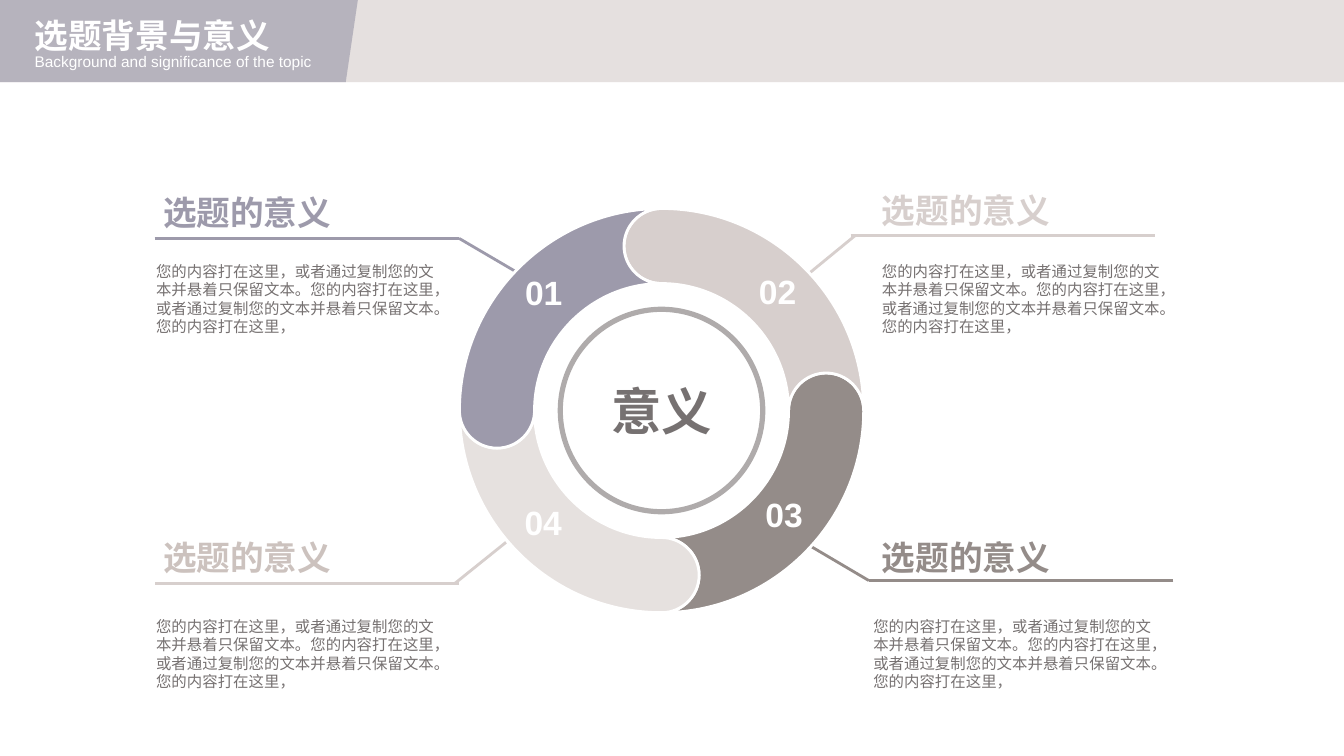
"""Build the topic background slide: a four-part ring with callouts."""
from dataclasses import dataclass
from math import cos, pi, sin

from lxml.etree import SubElement
from pptx import Presentation
from pptx.dml.color import RGBColor
from pptx.enum.shapes import MSO_CONNECTOR as CONN, MSO_SHAPE as SHAPE
from pptx.enum.text import MSO_ANCHOR as ANCHOR, MSO_AUTO_SIZE as AUTO, PP_ALIGN as ALIGN
from pptx.oxml.ns import qn
from pptx.util import Inches, Pt

COLORS = {
    "mauve": "9D9AAB", "rose": "D7CFCD", "taupe": "948C89", "pale": "E6E1DF",
    "sand": "CCC2BE", "text": "767171", "ring": "AFABAB", "white": "FFFFFF",
}
CELL = Inches(0.1)
COLS, ROWS = 133.33, 75
HEADER_ROWS = 8.15
CX, CY = 65.63, 40.73
OUTER, INNER = 20.05, 12.6
MID, CAP = (OUTER + INNER) / 2, (OUTER - INNER) / 2
BEND = 0.55
BODY = ("您的内容打在这里，或者通过复制您的文本并悬着只保留文本。"
        "您的内容打在这里，或者通过复制您的文本并悬着只保留文本。您的内容打在这里，")

Point = tuple[float, float]
Box = tuple[float, float, float, float]


@dataclass(frozen=True)
class Part:
    number: str
    turn: int
    fill: str
    line: str
    heading: str
    number_at: Point
    heading_at: Point
    body_at: Point
    rule: tuple[Point, Point]
    leader: tuple[Point, Point]


PARTS = [
    Part("03", 1, "taupe", "taupe", "taupe", (74.95, 48.5), (86.5, 52.8), (85.65, 60.7),
         ((116.4, 57.6), (86.2, 57.6)), ((86.2, 57.6), (80.1, 54))),
    Part("04", 2, "pale", "rose", "sand", (51.05, 49.3), (15.2, 52.8), (14.5, 60.7),
         ((45.5, 57.9), (15.35, 57.9)), ((45.1, 57.9), (50.2, 53.8))),
    Part("02", 0, "rose", "rose", "rose", (74.3, 26.4), (86.5, 18.35), (86.5, 25.5),
         ((84.4, 23.4), (114.6, 23.4)), ((84.8, 23.4), (79.8, 27.5))),
    Part("01", 3, "mauve", "mauve", "mauve", (51.1, 26.5), (15.2, 18.55), (14.5, 25.5),
         ((15.35, 23.65), (45.55, 23.65)), ((45.55, 23.65), (51.6, 27.2))),
]


def grid(*cells: float) -> list[int]:
    return [round(c * CELL) for c in cells]


def rgb(name: str) -> RGBColor:
    return RGBColor.from_string(COLORS[name])


def paint(sp, fill: str, line: str = "", alpha: int = 100) -> None:
    sp.shadow.inherit = False
    sp.fill.solid()
    sp.fill.fore_color.rgb = rgb(fill)
    if alpha < 100:
        clr = sp.element.spPr.find(qn("a:solidFill"))[0]
        SubElement(clr, qn("a:alpha"), val=str(alpha * 1000))
    if line:
        sp.line.color.rgb = rgb(line)
        sp.line.width = Pt(2)
    else:
        sp.line.fill.background()


def write(sp, text: str, size: int, color: str, bold: bool = False, **frame) -> None:
    tf = sp.text_frame
    for name, value in frame.items():
        setattr(tf, name, value)
    p = tf.paragraphs[0]
    p.alignment = ALIGN.CENTER if frame["vertical_anchor"] == ANCHOR.MIDDLE else ALIGN.LEFT
    r = p.add_run()
    r.text = text
    for name, value in {"size": Pt(size), "name": "Arial", "bold": bold}.items():
        setattr(r.font, name, value)
    r.font.color.rgb = rgb(color)
    SubElement(r.font._element, qn("a:ea"), typeface="Arial")


def label(s, box: Box, text: str, size: int, color: str, bold: bool = False,
          wrap: bool = False) -> None:
    write(s.shapes.add_textbox(*grid(*box)), text, size, color, bold, word_wrap=wrap,
          auto_size=AUTO.SHAPE_TO_FIT_TEXT, vertical_anchor=ANCHOR.TOP)


def connect(s, ends: tuple[Point, Point], color: str) -> None:
    c = s.shapes.add_connector(CONN.STRAIGHT, *grid(*ends[0], *ends[1]))
    c.line.color.rgb = rgb(color)
    c.line.width = Pt(2)
    SubElement(c.element.spPr, qn("a:effectLst"))


def outline(s, points: list[Point]):
    fb = s.shapes.build_freeform(*grid(*points[0]))
    fb.add_line_segments([tuple(grid(*pt)) for pt in points[1:]], close=True)
    return fb.convert_to_shape()


def shift(origin: Point, way: Point, length: float) -> Point:
    return origin[0] + way[0] * length, origin[1] + way[1] * length


def quarter(center: Point, radius: float, a: Point, b: Point) -> list[Point]:
    begin, end = shift(center, a, radius), shift(center, b, radius)
    return [shift(begin, b, radius * BEND), shift(end, a, radius * BEND), end]


def curve(sp) -> None:
    lines = list(sp.element.iter(qn("a:lnTo")))
    for first, second, third in zip(lines[::3], lines[1::3], lines[2::3]):
        first.tag = qn("a:cubicBezTo")
        for line in (second, third):
            first.append(line[0])
            line.getparent().remove(line)


def segment(s, part: Part) -> None:
    angle = part.turn * pi / 2
    u, v = (sin(angle), -cos(angle)), (cos(angle), sin(angle))
    minus_u, minus_v = (-u[0], -u[1]), (-v[0], -v[1])
    hub = (CX, CY)
    head, tail = shift(hub, u, MID), shift(hub, v, MID)
    points = [shift(hub, u, OUTER)]
    for arc in ((hub, OUTER, u, v), (tail, CAP, v, u), (tail, CAP, u, minus_v),
                (hub, INNER, v, u), (head, CAP, minus_u, minus_v), (head, CAP, minus_v, u)):
        points += quarter(*arc)
    sp = outline(s, points)
    curve(sp)
    paint(sp, part.fill, "white")


def circle(s, kind: SHAPE, radius: float, fill: str):
    sp = s.shapes.add_shape(kind, *grid(CX - radius, CY - radius, 2 * radius, 2 * radius))
    paint(sp, fill)
    return sp


def header(s) -> None:
    paint(s.shapes.add_shape(SHAPE.RECTANGLE, *grid(0, 0, COLS, HEADER_ROWS)), "rose", alpha=63)
    tab = outline(s, [(0, 0), (35.5, 0), (34.3, HEADER_ROWS), (0, HEADER_ROWS)])
    paint(tab, "mauve", alpha=64)
    title = s.shapes.title
    s.shapes.element.append(title.element)
    for name, value in zip(("left", "top", "width", "height"), grid(2.45, 1, 25.6, 5)):
        setattr(title, name, value)
    write(title, "选题背景与意义", 24, "white", True, word_wrap=False,
          auto_size=AUTO.SHAPE_TO_FIT_TEXT, vertical_anchor=ANCHOR.TOP)
    label(s, (2.45, 4.7, 29.7, 2.9), "Background and significance of the topic", 11, "white")


def main() -> None:
    prs = Presentation()
    prs.slide_width, prs.slide_height = grid(COLS, ROWS)
    s = prs.slides.add_slide(prs.slide_layouts[5])
    for part in PARTS:
        connect(s, part.rule, part.line)
        connect(s, part.leader, part.line)
    header(s)
    hub = circle(s, SHAPE.OVAL, INNER, "white")
    write(hub, "意义", 36, "text", True, vertical_anchor=ANCHOR.MIDDLE)
    for part in PARTS:
        segment(s, part)
    circle(s, SHAPE.DONUT, 10.3, "ring").adjustments[0] = 0.025
    for part in PARTS:
        label(s, (*part.heading_at, 18.8, 5), "选题的意义", 24, part.heading, True)
        label(s, (*part.body_at, 30.2, 14), BODY, 11, "text", wrap=True)
        label(s, (*part.number_at, 5.8, 5), part.number, 24, "white", True)
    prs.save("out.pptx")


if __name__ == "__main__":
    main()
